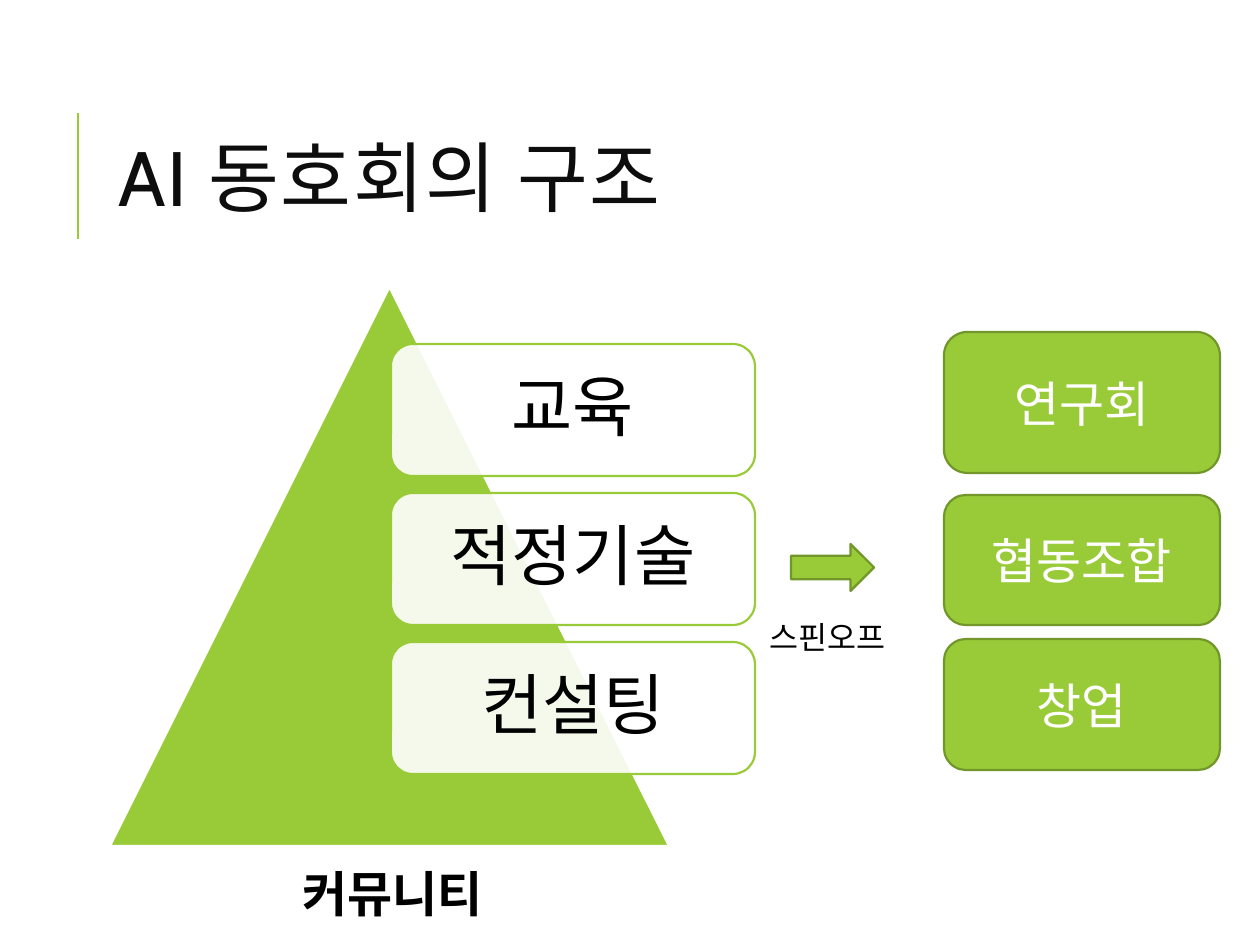
from lxml import etree
from pptx import Presentation
from pptx.dml.color import RGBColor
from pptx.enum.shapes import MSO_CONNECTOR, MSO_SHAPE
from pptx.enum.text import MSO_ANCHOR, PP_ALIGN
from pptx.oxml.ns import qn
from pptx.util import Emu, Pt

PX_PER_INCH = 126
GREEN = RGBColor(0x99, 0xCB, 0x38)
DARK_GREEN = RGBColor(0x71, 0x96, 0x29)
INK = RGBColor(0x0D, 0x0D, 0x0D)
BLACK = RGBColor(0, 0, 0)
WHITE = RGBColor(0xFF, 0xFF, 0xFF)

TRIANGLE = MSO_SHAPE.ISOSCELES_TRIANGLE
ROUNDED = MSO_SHAPE.ROUNDED_RECTANGLE
ARROW = MSO_SHAPE.RIGHT_ARROW
STRAIGHT = MSO_CONNECTOR.STRAIGHT
MIDDLE = MSO_ANCHOR.MIDDLE
TOP = MSO_ANCHOR.TOP
CENTER = PP_ALIGN.CENTER
LEFT = PP_ALIGN.LEFT


def px(length):
    return Emu(round(length * 914400 / PX_PER_INCH))


def write(shape, words, size, color, align=CENTER, anchor=MIDDLE, wrap=True,
          font="Calibri", bold=False, line_spacing=1.0):
    frame = shape.text_frame
    frame.word_wrap = wrap
    frame.vertical_anchor = anchor
    paragraph = frame.paragraphs[0]
    paragraph.alignment = align
    paragraph.line_spacing = line_spacing
    run = paragraph.add_run()
    run.text = words
    style = {"name": font, "size": Pt(size), "bold": bold}
    for attribute, value in style.items():
        setattr(run.font, attribute, value)
    run.font.color.rgb = color
    return run


def add_block(slide, preset, box, fill, line):
    block = slide.shapes.add_shape(preset, *map(px, box))
    block.shadow.inherit = False
    block.fill.solid()
    block.fill.fore_color.rgb = fill
    block.line.color.rgb = line
    block.line.width = Pt(1.25)
    return block


def add_label(slide, box, words, size, color, **style):
    label = slide.shapes.add_textbox(*map(px, box))
    return write(label, words, size, color, align=LEFT, **style)


def set_opacity(shape, percent):
    color = shape.fill._xPr.find(qn("a:solidFill"))[0]
    etree.SubElement(color, qn("a:alpha")).set("val", str(percent * 1000))


def add_heading(slide, left, top, width, height):
    rule_x, rule_top, rule_bottom = left - 28, top + 32, top + 158
    rule = slide.shapes.add_connector(
        STRAIGHT, *map(px, (rule_x, rule_bottom, rule_x, rule_top)))
    rule.line.color.rgb = GREEN
    rule.line.width = Pt(1.5)
    etree.SubElement(rule._element.spPr, qn("a:effectLst"))
    title = add_label(slide, (left, top, width, height), "AI 동호회의 구조",
                      44, INK, font="Cabin", line_spacing=0.8)
    title.font._element.set("spc", "100")


def add_community(slide, left, top, side):
    """Pyramid with one translucent card per activity and a caption below."""
    add_block(slide, TRIANGLE, (left, top, side, side), GREEN, WHITE)
    card_height, pitch = 132, 149
    for row, activity in enumerate(("교육", "적정기술", "컨설팅")):
        box = (left + 281, top + 57 + row * pitch, 364, card_height)
        card = add_block(slide, ROUNDED, box, WHITE, GREEN)
        set_opacity(card, 90)
        write(card, activity, 38, BLACK, line_spacing=0.9)
    add_label(slide, (left + 180, top + side + 11, 223, 72), "커뮤니티",
              28, BLACK, anchor=TOP, wrap=False, bold=True)


def add_spin_off_arrow(slide, left, top, width, height):
    add_block(slide, ARROW, (left, top, width, height), GREEN, DARK_GREEN)
    add_label(slide, (left - 34, top + height + 21, 152, 50), "스핀오프",
              18, BLACK, anchor=TOP, wrap=False)


def add_spin_offs(slide, left, top, width):
    outcomes = (("연구회", 0, 141), ("협동조합", 163, 130), ("창업", 307, 131))
    for outcome, offset, height in outcomes:
        block = add_block(slide, ROUNDED, (left, top + offset, width, height),
                          GREEN, DARK_GREEN)
        write(block, outcome, 28, WHITE)


def main():
    deck = Presentation()
    deck.slide_width, deck.slide_height = px(1260), px(945)
    slide = deck.slides.add_slide(deck.slide_layouts[6])
    add_heading(slide, 106, 81, 1004, 207)
    add_community(slide, 110, 287, 559)
    add_spin_off_arrow(slide, 791, 544, 83, 47)
    add_spin_offs(slide, 944, 332, 276)
    deck.save("out.pptx")


if __name__ == "__main__":
    main()
